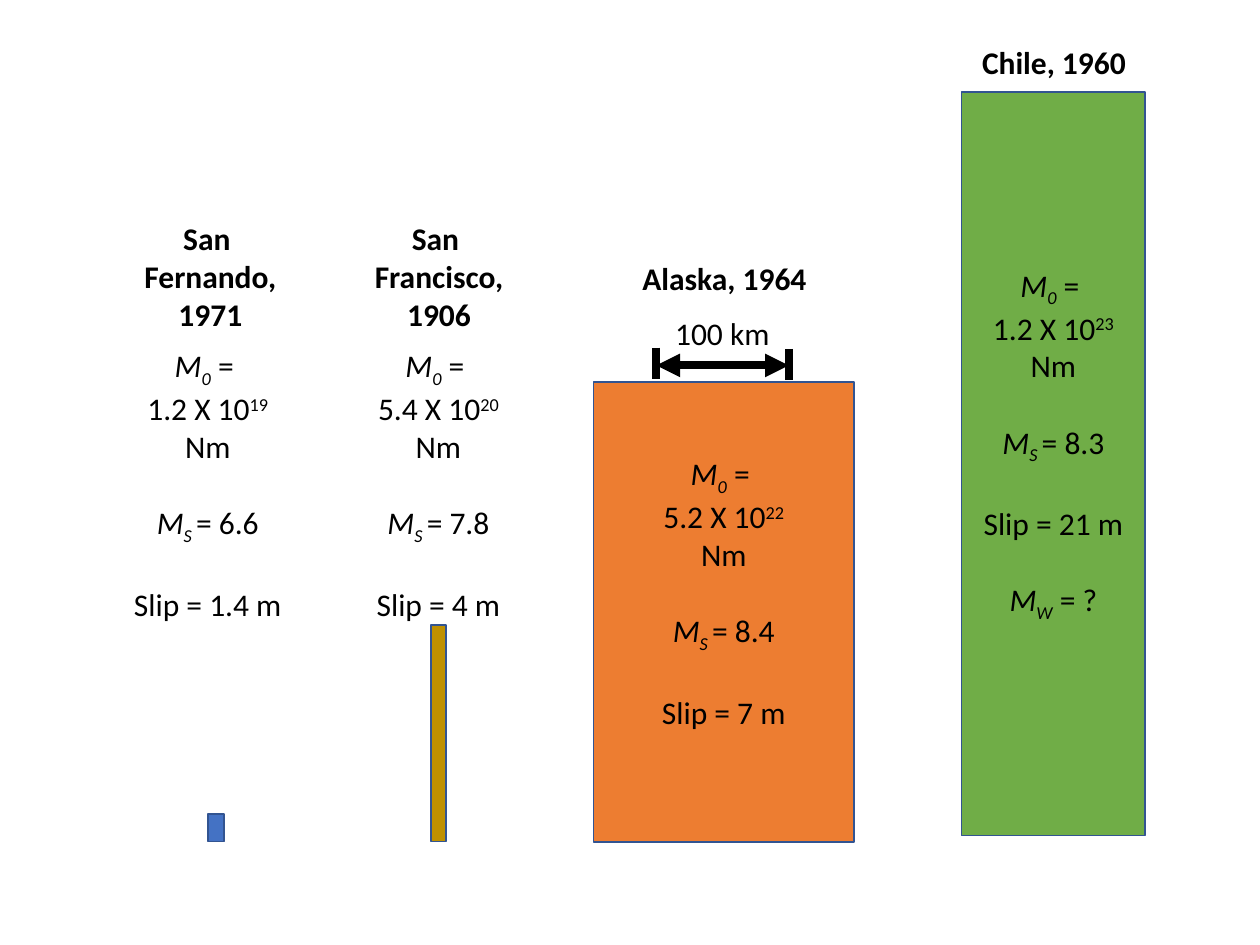
from lxml.etree import SubElement
from pptx import Presentation
from pptx.dml.color import RGBColor
from pptx.enum.shapes import MSO_CONNECTOR, MSO_SHAPE
from pptx.enum.text import MSO_ANCHOR, MSO_AUTO_SIZE, PP_ALIGN
from pptx.oxml.ns import qn
from pptx.util import Pt

BLACK = RGBColor(0x00, 0x00, 0x00)
WHITE = RGBColor(0xFF, 0xFF, 0xFF)
BLUE = RGBColor(0x44, 0x72, 0xC4)
GOLD = RGBColor(0xBF, 0x90, 0x00)
ORANGE = RGBColor(0xED, 0x7D, 0x31)
GREEN = RGBColor(0x70, 0xAD, 0x47)
OUTLINE = RGBColor(0x32, 0x54, 0x91)

LINE_HEIGHT = 22
BODY = {"size": Pt(18), "name": "Calibri", "bold": False}
HEADING = {**BODY, "bold": True}
SUBSCRIPT, SUPERSCRIPT = "-25000", "30000"


def add_box(page, place, fill, outline=None):
    box = page.shapes.add_shape(MSO_SHAPE.RECTANGLE, *map(Pt, place))
    box.shadow.inherit = False
    box.fill.solid()
    box.fill.fore_color.rgb = fill
    if outline is None:
        box.line.fill.background()
    else:
        box.line.color.rgb = outline
        box.line.width = Pt(1)
    return box


def write_lines(frame, lines, style, align=PP_ALIGN.CENTER):
    """Each line is (space before, [(text, italic, baseline), ...])."""
    for number, (gap, spans) in enumerate(lines):
        para = frame.add_paragraph() if number else frame.paragraphs[0]
        para.alignment = align
        para.space_before = Pt(gap)
        for text, italic, baseline in spans:
            span = para.add_run()
            span.text = text
            for name, value in {**style, "italic": italic}.items():
                setattr(span.font, name, value)
            span.font.color.rgb = BLACK
            if baseline:
                span.font._element.set("baseline", baseline)


deck = Presentation()
deck.slide_width, deck.slide_height = Pt(720), Pt(540)
page = deck.slides.add_slide(deck.slide_layouts[6])

# Fault areas drawn to scale; the two large ones hold their own figures
add_box(page, (118.8, 465.1, 9.4, 15.8), BLUE, OUTLINE)
add_box(page, (246.2, 357.1, 8.6, 123.8), GOLD, OUTLINE)
alaska = add_box(page, (339.1, 218.2, 149, 262.8), ORANGE, OUTLINE)
chile = add_box(page, (549.4, 52.6, 105.1, 424.8), GREEN, OUTLINE)
for fault in (alaska, chile):
    fault.text_frame.vertical_anchor = MSO_ANCHOR.MIDDLE
    fault.text_frame.margin_bottom = Pt(3.6 + LINE_HEIGHT)

# Scale bar: double arrow between two end ticks
scale_lines = [
    ((375.1, 208.8), (450.7, 208.8), True),
    ((375.1, 198.7), (375.1, 216.7), False),
    ((450.7, 199.4), (450.7, 217.4), False),
]
for start, end, has_arrows in scale_lines:
    line = page.shapes.add_connector(
        MSO_CONNECTOR.STRAIGHT, *map(Pt, start + end))
    line.line.color.rgb = BLACK
    line.line.width = Pt(4.5)
    if has_arrows:
        for tag in ("a:headEnd", "a:tailEnd"):
            SubElement(line.line._get_or_add_ln(), qn(tag), type="triangle")
    SubElement(line._element.spPr, qn("a:effectLst"))

scale_label = page.shapes.add_textbox(Pt(378.7), Pt(175.7), Pt(69.1), Pt(31.7))
scale_label.text_frame.word_wrap = False
write_lines(scale_label.text_frame, [(0, [("100 km", False, None)])],
            BODY, PP_ALIGN.LEFT)

# The two small faults have their figures above them
san_francisco = add_box(page, (183.6, 194.4, 133.9, 159.8), WHITE)
san_fernando = add_box(page, (51.8, 194.4, 133.9, 159.8), WHITE)
for panel in (san_francisco, san_fernando):
    panel.text_frame.vertical_anchor = MSO_ANCHOR.TOP

figures = [
    (alaska, "5.2", "22", "8.4", "7", None),
    (chile, "1.2", "23", "8.3", "21", "?"),
    (san_francisco, "5.4", "20", "7.8", "4", None),
    (san_fernando, "1.2", "19", "6.6", "1.4", None),
]
for box, moment, power, surface, slip, magnitude in figures:
    lines = [
        (0, [("M", True, None), ("0", True, SUBSCRIPT), (" = ", False, None)]),
        (0, [(f"{moment} X 10", False, None), (power, False, SUPERSCRIPT)]),
        (0, [("Nm", False, None)]),
        (LINE_HEIGHT, [("M", True, None), ("S ", True, SUBSCRIPT),
                       (f"= {surface}", False, None)]),
        (LINE_HEIGHT, [(f"Slip = {slip} m", False, None)]),
    ]
    if magnitude:
        lines.append((LINE_HEIGHT, [("M", True, None), ("W", True, SUBSCRIPT),
                                    (f" = {magnitude}", False, None)]))
    box.text_frame.word_wrap = True
    write_lines(box.text_frame, lines, BODY)

headings = [
    ((74.9, 121.7, 90.7, 72.7), ["San ", "Fernando,", "1971"]),
    ((206.6, 121.7, 88.6, 72.7), ["San ", "Francisco,", "1906"]),
    ((359.3, 144.7, 109.4, 29.1), ["Alaska, 1964"]),
    ((553.7, 20.9, 97.2, 29.1), ["Chile, 1960"]),
]
for place, words in headings:
    heading = add_box(page, place, WHITE)
    frame = heading.text_frame
    frame.word_wrap = False
    frame.auto_size = MSO_AUTO_SIZE.SHAPE_TO_FIT_TEXT
    frame.vertical_anchor = MSO_ANCHOR.TOP
    write_lines(frame, [(0, [(word, False, None)]) for word in words], HEADING)

deck.save("out.pptx")
